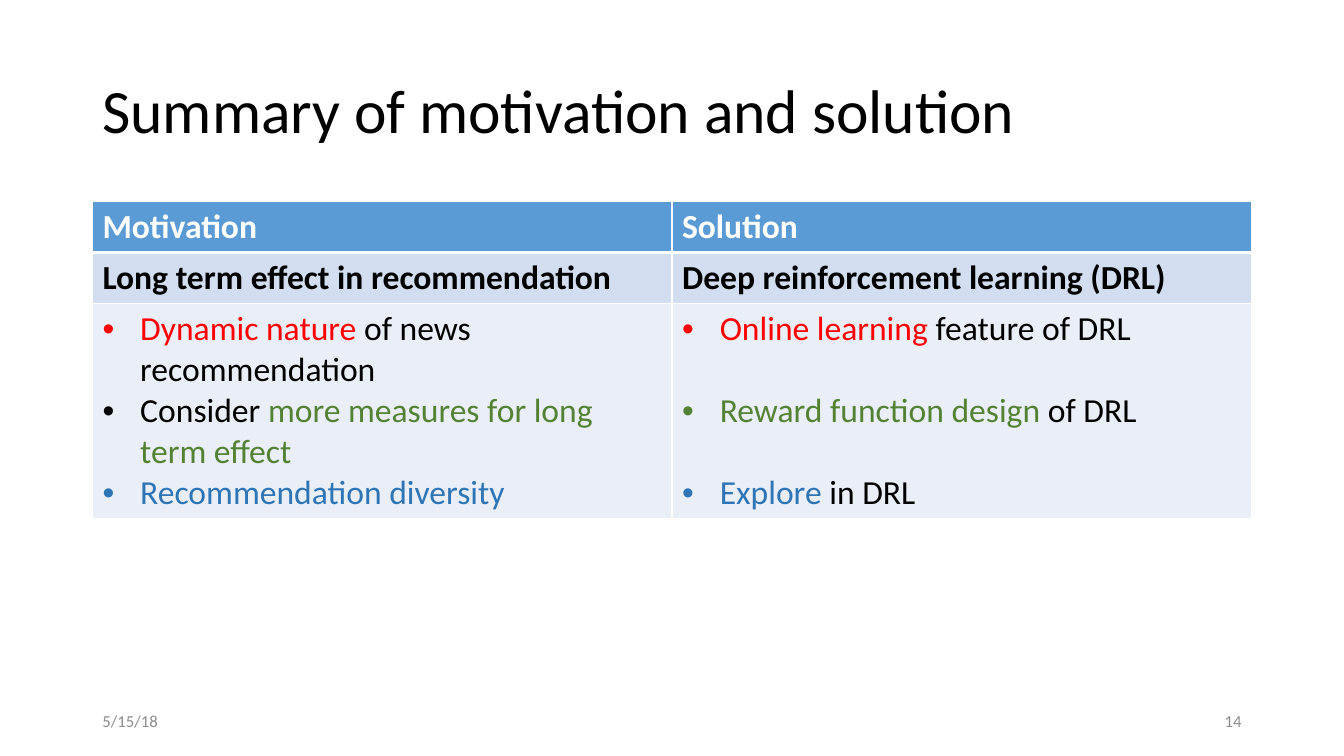
from lxml.etree import SubElement
from pptx import Presentation
from pptx.dml.color import RGBColor
from pptx.enum.text import MSO_ANCHOR, PP_ALIGN
from pptx.oxml.ns import qn
from pptx.util import Cm, Pt

TITLE = "Summary of motivation and solution"
DATE, PAGE = "5/15/18", "14"
HEADINGS = ["Motivation", "Solution"]
THEMES = ["Long term effect in recommendation", "Deep reinforcement learning (DRL)"]
# Each point is a list of (text, colour name) pieces.
MOTIVATIONS = [
    [("Dynamic nature ", "red"), ("of news recommendation", "ink")],
    [("Consider ", "ink"), ("more measures for long term effect", "green")],
    [("Recommendation diversity", "blue")],
]
SOLUTIONS = [
    [("Online learning ", "red"), ("feature of DRL", "ink")],
    [("Reward function design ", "green"), ("of DRL", "ink")],
    [("Explore ", "blue"), ("in DRL", "ink")],
]

THEME = {
    "font": "Calibri",
    "sizes": {"title": 44, "table": 24, "footer": 12},
    "colors": {
        "ink": "000000", "white": "FFFFFF", "grey": "8C8C8C",
        "red": "FF0000", "green": "548235", "blue": "2E75B6",
        "header": "5B9BD5", "band": "D2DEEF", "body": "EAEFF7",
    },
}

SLIDE_WIDTH, SLIDE_HEIGHT = Cm(33.87), Cm(19.05)
MARGIN = Cm(2.33)
CONTENT_WIDTH = SLIDE_WIDTH - 2 * MARGIN
FOOTER_TOP, FOOTER_WIDTH, FOOTER_HEIGHT = Cm(17.66), Cm(7.62), Cm(1.01)
TABLE_TOP = Cm(5.07)
ROW_HEIGHTS = [Cm(1.29), Cm(1.29), Cm(5.42)]
BULLET_INDENT = Cm(0.95)
LINE_GAP = Pt(29.3)  # one line of table text


def color(name):
    return RGBColor.from_string(THEME["colors"][name])


def add_pieces(paragraph, pieces, size, bold=False):
    for words, color_name in pieces:
        run = paragraph.add_run()
        run.text = words
        style = {"name": THEME["font"], "size": Pt(THEME["sizes"][size]), "bold": bold}
        for key, value in style.items():
            setattr(run.font, key, value)
        run.font.color.rgb = color(color_name)


def add_label(slide, box, words, size, color_name, **paragraph_format):
    frame = slide.shapes.add_textbox(*box).text_frame
    frame.word_wrap = True
    frame.vertical_anchor = MSO_ANCHOR.MIDDLE
    paragraph = frame.paragraphs[0]
    for key, value in paragraph_format.items():
        setattr(paragraph, key, value)
    add_pieces(paragraph, [(words, color_name)], size)


def add_bullet(paragraph):
    properties = paragraph._p.get_or_add_pPr()
    properties.set("marL", str(BULLET_INDENT))
    properties.set("indent", str(-BULLET_INDENT))
    SubElement(properties, qn("a:buFont"), typeface="Arial")
    SubElement(properties, qn("a:buChar"), char="•")


def paint_cell(cell, fill_name, border_widths):
    """Draw white borders (side to points) and fill the cell."""
    properties = cell._tc.get_or_add_tcPr()
    for side, width in border_widths.items():
        line = SubElement(properties, qn(f"a:ln{side}"), w=str(Pt(width)))
        fill = SubElement(line, qn("a:solidFill"))
        SubElement(fill, qn("a:srgbClr"), val=THEME["colors"]["white"])
    cell.fill.solid()
    cell.fill.fore_color.rgb = color(fill_name)


def add_points(cell, points, gap):
    for index, pieces in enumerate(points):
        frame = cell.text_frame
        paragraph = frame.add_paragraph() if index else frame.paragraphs[0]
        add_bullet(paragraph)
        if index:
            paragraph.space_before = gap
        add_pieces(paragraph, pieces, "table")


def add_summary_table(slide):
    table = slide.shapes.add_table(
        len(ROW_HEIGHTS), len(HEADINGS), MARGIN, TABLE_TOP, CONTENT_WIDTH, sum(ROW_HEIGHTS)
    ).table
    table.horz_banding = False
    for row, height in zip(table.rows, ROW_HEIGHTS):
        row.height = height
    for row, fill_name in enumerate(["header", "band", "body"]):
        borders = {"L": 1, "R": 1, "T": 3 if row == 1 else 1, "B": 3 if row == 0 else 1}
        for column in range(len(HEADINGS)):
            paint_cell(table.cell(row, column), fill_name, borders)
    for row, (labels, color_name) in enumerate([(HEADINGS, "white"), (THEMES, "ink")]):
        for column, label in enumerate(labels):
            paragraph = table.cell(row, column).text_frame.paragraphs[0]
            add_pieces(paragraph, [(label, color_name)], "table", bold=True)
    for column, (points, gap) in enumerate([(MOTIVATIONS, Pt(0)), (SOLUTIONS, LINE_GAP)]):
        add_points(table.cell(2, column), points, gap)


def main():
    deck = Presentation()
    deck.slide_width, deck.slide_height = SLIDE_WIDTH, SLIDE_HEIGHT
    slide = deck.slides.add_slide(deck.slide_layouts[6])

    title_box = (MARGIN, Cm(1.01), CONTENT_WIDTH, Cm(3.68))
    add_label(slide, title_box, TITLE, "title", "ink", line_spacing=0.9)
    add_summary_table(slide)
    page_left = SLIDE_WIDTH - MARGIN - FOOTER_WIDTH
    for left, words, alignment in [
        (MARGIN, DATE, PP_ALIGN.LEFT),
        (page_left, PAGE, PP_ALIGN.RIGHT),
    ]:
        footer_box = (left, FOOTER_TOP, FOOTER_WIDTH, FOOTER_HEIGHT)
        add_label(slide, footer_box, words, "footer", "grey", alignment=alignment)

    deck.save("out.pptx")


if __name__ == "__main__":
    main()
